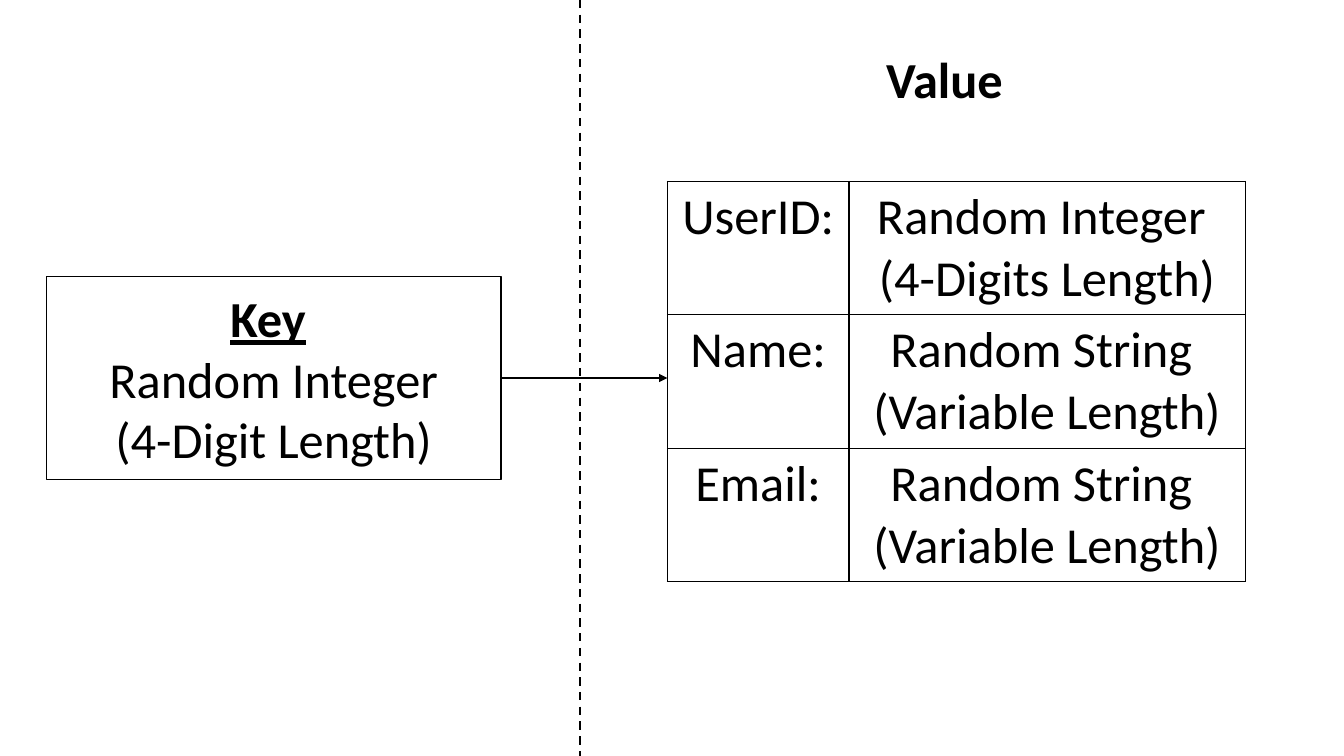
from lxml import etree
from pptx import Presentation
from pptx.dml.color import RGBColor
from pptx.enum.dml import MSO_LINE
from pptx.enum.shapes import MSO_CONNECTOR, MSO_SHAPE
from pptx.enum.text import MSO_ANCHOR, MSO_AUTO_SIZE, PP_ALIGN
from pptx.oxml.ns import qn
from pptx.util import Inches, Pt

CENTER, LEFT, MIDDLE = PP_ALIGN.CENTER, PP_ALIGN.LEFT, MSO_ANCHOR.MIDDLE
STRAIGHT, RECTANGLE, DASH = MSO_CONNECTOR.STRAIGHT, MSO_SHAPE.RECTANGLE, MSO_LINE.DASH
FIT_SHAPE = MSO_AUTO_SIZE.SHAPE_TO_FIT_TEXT

# Content: each paragraph is a list of (text, extra format)
KEY_LINES = [
    [("Key", {"bold": True, "underline": True}), (" ", {})],
    [("Random Integer", {})],
    [("(4-Digit Length)", {})],
]
HEADING = [[("Value", {"bold": True})]]
FIELDS = [
    ("UserID:", "Random Integer ", "(4-Digits Length)"),
    ("Name:", "Random String ", "(Variable Length)"),
    ("Email:", "Random String ", "(Variable Length)"),
]

# Layout in inches
SLIDE_WIDTH, SLIDE_HEIGHT = 13.33, 7.5
KEY_BOX = (0.46, 2.74, 4.51, 2.02)
HEADING_BOX = (8.69, 0.43, 1.59, 0.71)
TABLE_LEFT, TABLE_TOP, ROW_HEIGHT = 6.62, 1.8, 1.3
COLUMN_WIDTHS = (1.8, 3.93)
DIVIDER_X = 5.75

BLACK, WHITE = "000000", "FFFFFF"
TEXT_FORMAT = {"name": "Calibri", "size": Pt(36), "bold": False}


def color(value):
    return RGBColor.from_string(value)


def inches(values):
    return [Inches(value) for value in values]


def write(frame, lines, align=CENTER):
    for number, line in enumerate(lines):
        para = frame.add_paragraph() if number else frame.paragraphs[0]
        para.alignment = align
        for text, extra in line:
            span = para.add_run()
            span.text = text
            for name, value in {**TEXT_FORMAT, **extra}.items():
                setattr(span.font, name, value)
            span.font.color.rgb = color(BLACK)


def add_line(start, end, width):
    line = slide.shapes.add_connector(STRAIGHT, *inches(start + end))
    line.line.color.rgb = color(BLACK)
    line.line.width = Pt(width)
    etree.SubElement(line._element.spPr, qn("a:effectLst"))
    return line


def add_borders(cell):
    properties = cell._tc.get_or_add_tcPr()
    for side in ("lnL", "lnR", "lnT", "lnB"):
        border = etree.SubElement(properties, qn(f"a:{side}"), w=str(Pt(1)))
        fill = etree.SubElement(border, qn("a:solidFill"))
        etree.SubElement(fill, qn("a:srgbClr"), val=BLACK)


deck = Presentation()
deck.slide_width, deck.slide_height = inches((SLIDE_WIDTH, SLIDE_HEIGHT))
slide = deck.slides.add_slide(deck.slide_layouts[6])

# Key box
key_box = slide.shapes.add_shape(RECTANGLE, *inches(KEY_BOX))
key_box.shadow.inherit = False
key_box.fill.solid()
key_box.fill.fore_color.rgb = color(WHITE)
key_box.line.color.rgb = color(BLACK)
key_box.line.width = Pt(1)
key_box.text_frame.word_wrap = True
key_box.text_frame.vertical_anchor = MIDDLE
write(key_box.text_frame, KEY_LINES)

# Value table
table_size = (sum(COLUMN_WIDTHS), ROW_HEIGHT * len(FIELDS))
table = slide.shapes.add_table(
    len(FIELDS), len(COLUMN_WIDTHS), *inches((TABLE_LEFT, TABLE_TOP) + table_size)
).table
table.first_row = table.horz_banding = False
for column, width in zip(table.columns, COLUMN_WIDTHS):
    column.width = Inches(width)
for row, (label, *description) in zip(table.rows, FIELDS):
    row.height = Inches(ROW_HEIGHT)
    for cell, lines in zip(row.cells, ([label], description)):
        add_borders(cell)
        cell.fill.background()
        write(cell.text_frame, [[(line, {})] for line in lines])

# Divider between key and value
divider = add_line((DIVIDER_X, 0), (DIVIDER_X, SLIDE_HEIGHT), 1.5)
divider.line.dash_style = DASH

# Value heading
heading = slide.shapes.add_textbox(*inches(HEADING_BOX))
heading.text_frame.word_wrap = True
heading.text_frame.auto_size = FIT_SHAPE
write(heading.text_frame, HEADING, LEFT)

# Arrow from key to value
key_left, key_top, key_width, key_height = KEY_BOX
arrow_y = key_top + key_height / 2
arrow = add_line((key_left + key_width, arrow_y), (TABLE_LEFT, arrow_y), 1)
arrow.begin_connect(key_box, 3)
etree.SubElement(arrow.line._get_or_add_ln(), qn("a:tailEnd"), type="triangle")

deck.save("out.pptx")
